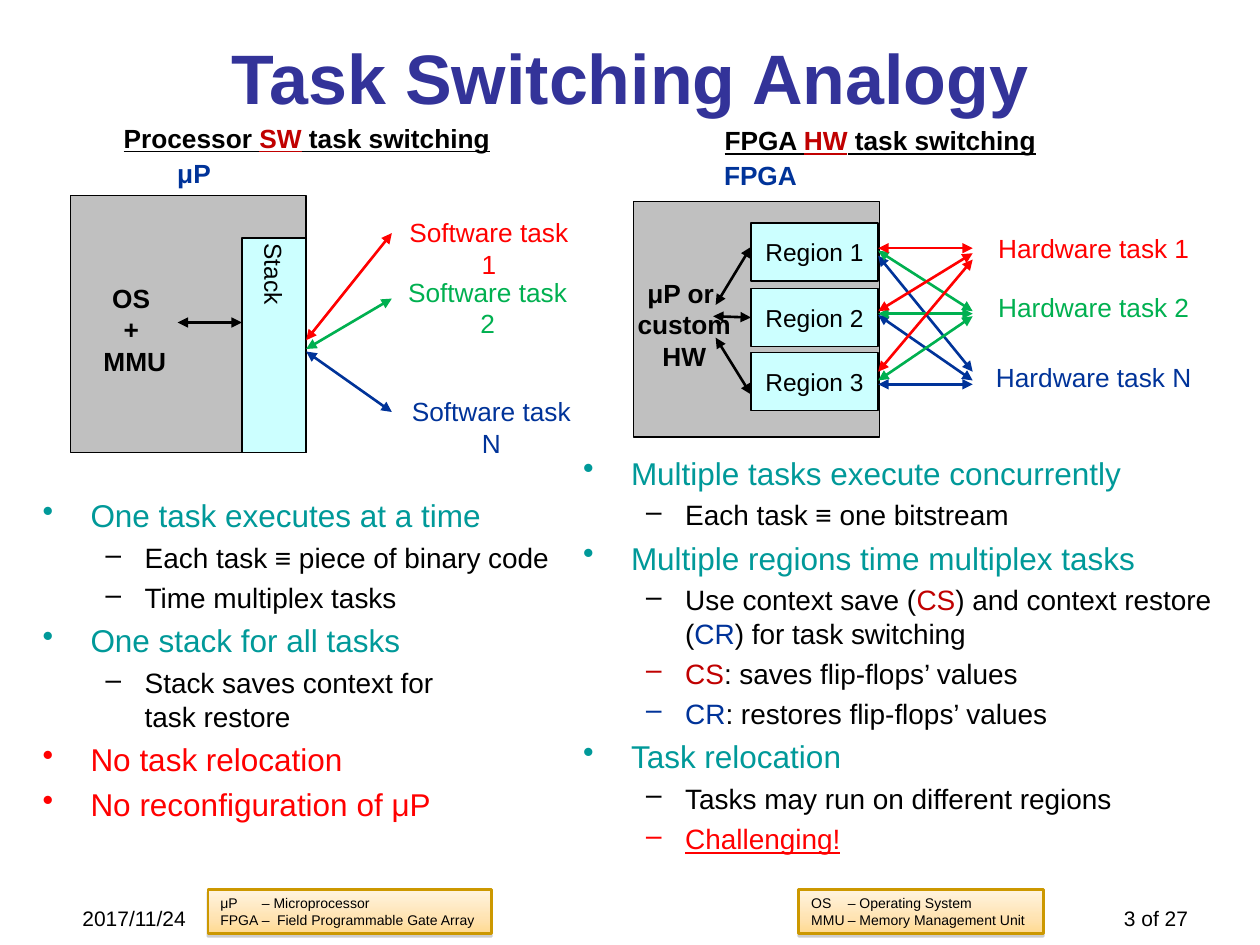
import copy
from dataclasses import dataclass
from typing import Optional

import pptx
import pptx.dml.color
import pptx.enum.dml
import pptx.enum.shapes
import pptx.enum.text
import pptx.oxml.ns
import pptx.util
from lxml import etree

Inches, Pt = pptx.util.Inches, pptx.util.Pt
RGBColor = pptx.dml.color.RGBColor
qn = pptx.oxml.ns.qn
ALIGN = pptx.enum.text.PP_ALIGN
ANCHOR = pptx.enum.text.MSO_ANCHOR

BLACK = RGBColor(0x00, 0x00, 0x00)
RED = RGBColor(0xFF, 0x00, 0x00)
DARK_RED = RGBColor(0xC0, 0x00, 0x00)
GREEN = RGBColor(0x00, 0xB0, 0x50)
NAVY = RGBColor(0x00, 0x33, 0x99)
TEAL = RGBColor(0x00, 0x99, 0x99)
INDIGO = RGBColor(0x33, 0x33, 0x99)
GRAY = RGBColor(0xC0, 0xC0, 0xC0)
CYAN = RGBColor(0xCC, 0xFF, 0xFF)
GOLD = RGBColor(0xCC, 0x98, 0x00)
LEGEND_STOPS = [(0, RGBColor(0xFF, 0xF4, 0xE0)), (0.65, RGBColor(0xFF, 0xE3, 0xB2)),
                (1, RGBColor(0xFF, 0xDA, 0x90))]
BULLETS = [("•", 18, 0.38, -0.38), ("–", 16, 0.81, -0.31)]  # mark, size, margin, indent
Box = tuple[float, float, float, float]
Point = tuple[float, float]


@dataclass
class Span:
    text: str
    color: RGBColor = BLACK
    underline: bool = False


@dataclass
class Item:
    level: int
    spans: list[Span]


@dataclass
class Arrow:
    start: Point
    end: Point
    color: RGBColor = BLACK


@dataclass
class Label:
    box: Box
    lines: list[list[Span]]
    size: float = 15
    bold: bool = False
    wrap: bool = True
    inset: Point = (0.09, 0.04)
    anchor: ANCHOR = ANCHOR.TOP
    before: float = 0


def place(box: Box) -> list[int]:
    return [Inches(length) for length in box]


def add_spans(paragraph, spans: list[Span], size: float, bold: bool = False) -> None:
    for span in spans:
        for number, piece in enumerate(span.text.split("\n")):
            if number:
                paragraph.add_line_break()
            run = paragraph.add_run()
            run.text = piece
            run.font.name, run.font.size, run.font.bold = "Arial", Pt(size), bold
            run.font.color.rgb = span.color
            if span.underline:
                run.font.underline = True


def set_frame(frame, inset: Point, wrap: bool = True, anchor=ANCHOR.TOP) -> None:
    frame.word_wrap, frame.vertical_anchor = wrap, anchor
    frame.margin_left = frame.margin_right = Inches(inset[0])
    frame.margin_top = frame.margin_bottom = Inches(inset[1])


def next_paragraph(frame, number: int):
    return frame.add_paragraph() if number else frame.paragraphs[0]


def fill_label(frame, label: Label) -> None:
    set_frame(frame, label.inset, label.wrap, label.anchor)
    for number, spans in enumerate(label.lines):
        paragraph = next_paragraph(frame, number)
        paragraph.alignment = ALIGN.CENTER
        paragraph.space_before = Pt(label.before)
        add_spans(paragraph, spans, label.size, label.bold)


def add_label(slide, label: Label) -> None:
    fill_label(slide.shapes.add_textbox(*place(label.box)).text_frame, label)


def add_block(slide, box: Box, color: Optional[RGBColor], line=BLACK, width: float = 0.75):
    block = slide.shapes.add_shape(pptx.enum.shapes.MSO_SHAPE.RECTANGLE, *place(box))
    block.shadow.inherit = False
    if color is not None:
        block.fill.solid()
        block.fill.fore_color.rgb = color
    block.line.color.rgb, block.line.width = line, Pt(width)
    return block


def add_part(slide, box: Box, name: str):
    part = add_block(slide, box, CYAN)
    fill_label(part.text_frame, Label(box, [[Span(name)]], 14, anchor=ANCHOR.MIDDLE, before=3.2))
    return part


def add_arrow(slide, arrow: Arrow):
    line = slide.shapes.add_connector(pptx.enum.shapes.MSO_CONNECTOR.STRAIGHT,
                                      *place(arrow.start + arrow.end))
    line.line.color.rgb, line.line.width = arrow.color, Pt(1.5)
    for end in ("a:headEnd", "a:tailEnd"):
        etree.SubElement(line.line._get_or_add_ln(), qn(end), type="triangle")
    etree.SubElement(line._element.spPr, qn("a:effectLst"))
    return line


def add_bullets(slide, box: Box, items: list[Item]) -> None:
    frame = slide.shapes.add_textbox(*place(box)).text_frame
    set_frame(frame, (0.1, 0.05))
    for number, item in enumerate(items):
        mark, size, margin, indent = BULLETS[item.level]
        paragraph = next_paragraph(frame, number)
        paragraph.level = item.level
        paragraph.space_before = Pt(round(0.23 * size, 1))
        properties = paragraph._p.get_or_add_pPr()
        properties.set("marL", str(Inches(margin)))
        properties.set("indent", str(Inches(indent)))
        etree.SubElement(properties, qn("a:buChar"), char=mark)
        add_spans(paragraph, item.spans, size)


def add_legend(slide, box: Box, rows: list[str], tabs: list[float]) -> None:
    legend = add_block(slide, box, None, GOLD, 1.5)
    legend.fill.gradient()
    legend.fill.gradient_angle = 270
    stops = legend._element.spPr.find(".//" + qn("a:gsLst"))
    stops.append(copy.deepcopy(stops[-1]))
    for stop, (position, color) in zip(legend.fill.gradient_stops, LEGEND_STOPS):
        stop.position, stop.color.rgb = position, color
    shadow = etree.SubElement(legend._element.spPr.find(qn("a:effectLst")), qn("a:outerShdw"),
                              blurRad="0", dist=str(Pt(1.6)), dir="5400000", rotWithShape="0")
    tint = etree.SubElement(shadow, qn("a:srgbClr"), val="808080")
    etree.SubElement(tint, qn("a:alpha"), val="38000")
    set_frame(legend.text_frame, (0.1, 0.04))
    for number, row in enumerate(rows):
        paragraph = next_paragraph(legend.text_frame, number)
        paragraph.alignment = ALIGN.LEFT
        tab_list = etree.SubElement(paragraph._p.get_or_add_pPr(), qn("a:tabLst"))
        for tab in tabs:
            etree.SubElement(tab_list, qn("a:tab"), pos=str(Inches(tab)), algn="l")
        add_spans(paragraph, [Span(row)], 8)


def heading(box: Box, platform: str, kind: str) -> Label:
    spans = [Span(platform + " ", BLACK, True), Span(kind, DARK_RED, True),
             Span(" task switching", BLACK, True)]
    return Label(box, [spans], bold=True, wrap=False, inset=(0.1, 0.05))


def main() -> None:
    deck = pptx.Presentation()
    deck.slide_width, deck.slide_height = Inches(10), Inches(7.5)
    slide = deck.slides.add_slide(deck.slide_layouts[6])

    # Title, date and page number
    add_label(slide, Label((0.75, 0.21, 8.5, 0.8), [[Span("Task Switching Analogy", INDIGO)]], 40,
                           True, inset=(0.1, 0.05), anchor=ANCHOR.MIDDLE))
    for left, note in ((0.43, "2017/11/24"), (8.54, "3 of 27")):
        add_label(slide, Label((left, 7.14, 1.27, 0.3), [[Span(note)]], 12, inset=(0.1, 0.05)))

    # Processor and FPGA blocks
    add_block(slide, (0.56, 1.55, 1.87, 2.04), GRAY)
    add_block(slide, (5.03, 1.6, 1.95, 1.87), GRAY)
    stack = add_part(slide, (1.92, 1.89, 0.51, 1.7), "Stack")
    stack.text_frame._txBody.bodyPr.set("vert", "eaVert")
    regions = [add_part(slide, (5.96, round(1.77 + 0.515 * row, 2), 1.01, 0.46),
                        f"Region {row + 1}") for row in range(3)]

    # Headings and block labels
    for label in (
        heading((0.87, 0.92, 3.13, 0.35), "Processor", "SW"),
        heading((5.64, 0.94, 2.69, 0.35), "FPGA", "HW"),
        Label((0.65, 1.21, 1.78, 0.51), [[Span("μP", NAVY)]], bold=True, before=3.4),
        Label((5.44, 1.22, 1.19, 0.51), [[Span("FPGA", NAVY)]], bold=True, before=3.4),
        Label((0.56, 2.2, 1.02, 0.84), [[Span("OS ")], [Span("+ ")], [Span("MMU")]], bold=True),
        Label((4.92, 2.16, 1.02, 0.84), [[Span("μP or ")], [Span("custom HW")]], bold=True),
    ):
        add_label(slide, label)

    # Task names: number, colour, software left, top and width, hardware top
    for task, color, left, top, width, hardware_top in (
        ("1", RED, 3.11, 1.68, 1.54, 1.8),
        ("2", GREEN, 3.1, 2.15, 1.54, 2.27),
        ("N", NAVY, 3.11, 3.1, 1.58, 2.83),
    ):
        add_label(slide, Label((left, top, width, 0.36), [[Span(f"Software task {task}", color)]],
                               wrap=False, before=3.4))
        add_label(slide, Label((7.72, hardware_top, 1.92, 0.38),
                               [[Span(f"Hardware task {task}", color)]], before=3.4))

    # Arrows inside the blocks, then from the blocks to the tasks
    for arrow in (
        Arrow((1.41, 2.56), (1.92, 2.56)),
        Arrow((5.68, 2.42), (5.96, 1.96)),
        Arrow((5.68, 2.68), (5.96, 3.13)),
        Arrow((2.43, 2.79), (3.11, 3.27), NAVY),
        Arrow((2.43, 2.77), (3.11, 2.37), GREEN),
        Arrow((2.43, 2.7), (3.11, 1.85), RED),
    ):
        add_arrow(slide, arrow)
    add_arrow(slide, Arrow((5.66, 2.51), (5.96, 2.51))).end_connect(regions[1], 1)
    for color, ends in (  # heights at the region and at the task
        (NAVY, ((3.05, 3.05), (2.5, 3.02), (2.03, 2.95))),
        (GREEN, ((3.02, 2.51), (2.49, 2.49), (1.99, 2.47))),
        (RED, ((2.95, 2.06), (2.47, 2.01), (1.97, 1.97))),
    ):
        for region_y, task_y in ends:
            add_arrow(slide, Arrow((6.97, region_y), (7.72, task_y), color))

    # Comparison lists
    add_bullets(slide, (0.24, 3.89, 4.61, 2.85), [
        Item(0, [Span("One task executes at a time", TEAL)]),
        Item(1, [Span("Each task ≡ piece of binary code")]),
        Item(1, [Span("Time multiplex tasks")]),
        Item(0, [Span("One stack for all tasks", TEAL)]),
        Item(1, [Span("Stack saves context for \ntask restore")]),
        Item(0, [Span("No task relocation", RED)]),
        Item(0, [Span("No reconfiguration of μP", RED)]),
    ])
    add_bullets(slide, (4.53, 3.55, 5.29, 3.42), [
        Item(0, [Span("Multiple tasks execute concurrently", TEAL)]),
        Item(1, [Span("Each task ≡ one bitstream")]),
        Item(0, [Span("Multiple regions time multiplex tasks", TEAL)]),
        Item(1, [Span("Use context save ("), Span("CS", DARK_RED), Span(") and context restore ("),
                 Span("CR", NAVY), Span(") for task switching")]),
        Item(1, [Span("CS", DARK_RED), Span(": saves flip-flops’ values")]),
        Item(1, [Span("CR", NAVY), Span(": restores flip-flops’ values")]),
        Item(0, [Span("Task relocation", TEAL)]),
        Item(1, [Span("Tasks may run on different regions")]),
        Item(1, [Span("Challenging!", RED, True)]),
    ])

    # Abbreviations
    add_legend(slide, (1.65, 7.06, 2.25, 0.35),
               ["μP\t– Microprocessor", "FPGA\t–\tField Programmable Gate Array"], [0.33, 0.45])
    add_legend(slide, (6.34, 7.06, 1.94, 0.35),
               ["OS\t– Operating System", "MMU\t– Memory Management Unit"], [0.29])
    deck.save("out.pptx")


if __name__ == "__main__":
    main()
